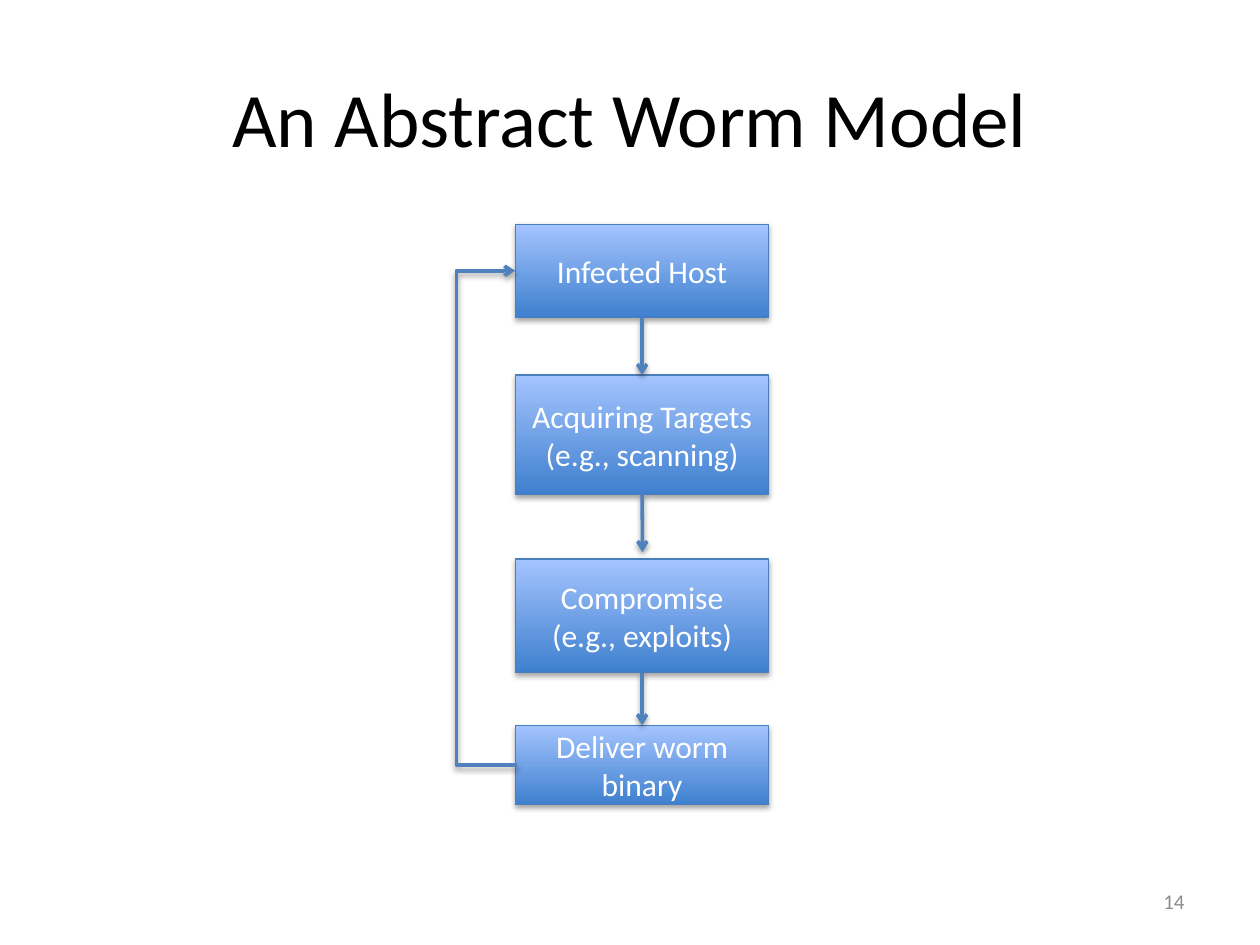
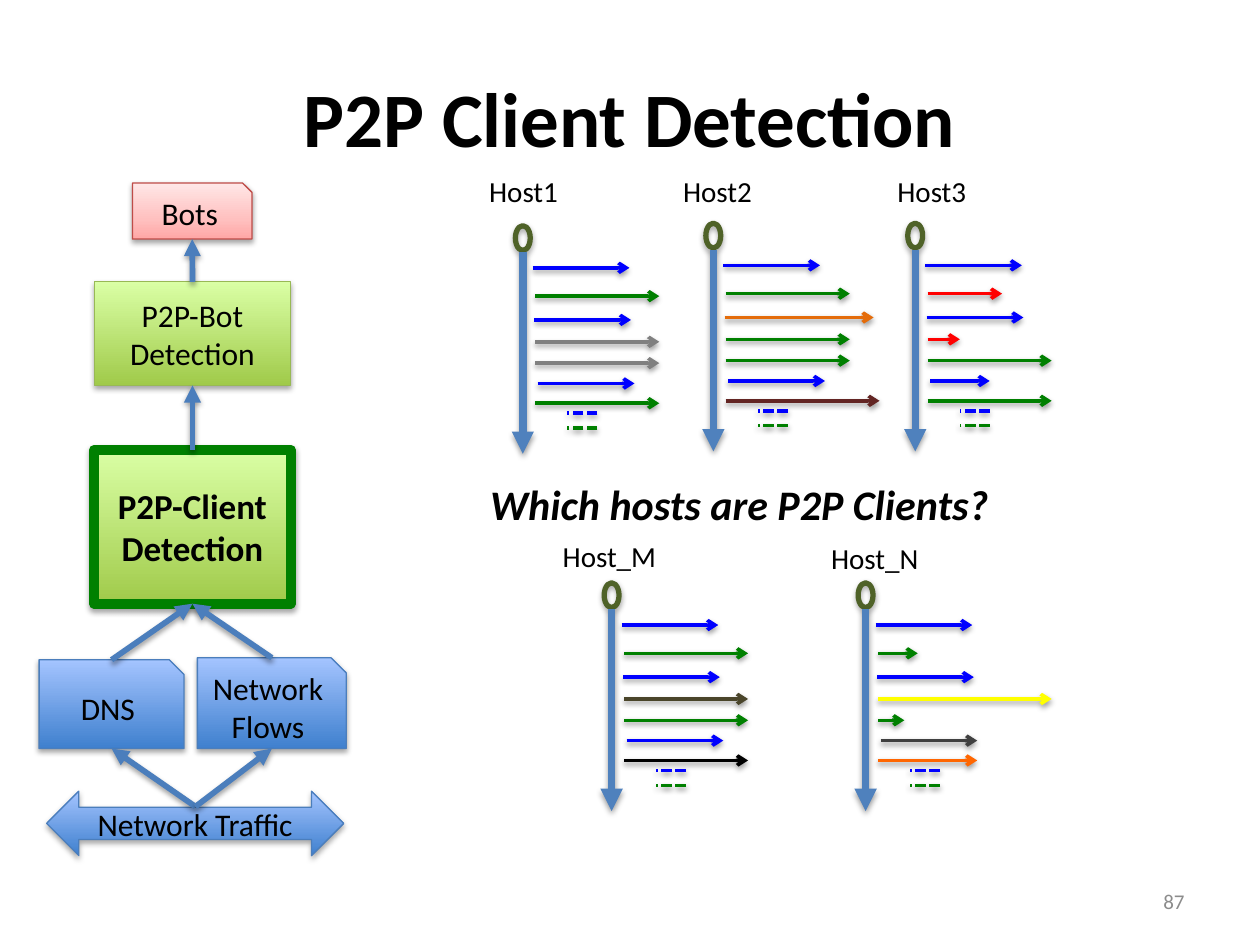
from copy import deepcopy
from itertools import pairwise

from lxml.etree import SubElement
from pptx import Presentation
from pptx.dml.color import RGBColor
from pptx.enum.dml import MSO_LINE
from pptx.enum.shapes import MSO_CONNECTOR as Connector, MSO_SHAPE as Preset
from pptx.enum.text import MSO_ANCHOR as Anchor, PP_ALIGN as Align
from pptx.oxml.ns import qn
from pptx.util import Cm, Pt

FONT = "Calibri"
COLORS = {
    "black": "000000", "white": "FFFFFF", "number": "8C8C8C",
    "blue edge": "4B7EBC", "lime edge": "98B955", "pink edge": "BF4C48",
    "link": "4F81BD", "ring": "4F6228",
    "blue": "0000FF", "green": "008000", "gray": "808080", "red": "FF0000",
    "orange": "E46C0A", "bright orange": "FF6600", "maroon": "632523",
    "brown": "4A452A", "yellow": "FFFF00", "charcoal": "404040",
}
GRADIENTS = {
    "blue": [(0, "3F80CE"), (1, "A4C4FF")],
    "lime": [(0, "A0CA4A"), (1, "DAFFA5")],
    "pink": [(0, "FFA6A5"), (0.35, "FFC0BF"), (1, "FFE7E7")],
}
TOP, LEFT, BOTTOM = 0, 1, 2

FLOW_ROWS = [(0.2, 0.85), (0.25, 1.42), (0.23, 1.9), (0.25, 2.34),
             (0.25, 2.77), (0.3, 3.18), (0.25, 3.58)]
SHORT, LONG = 1.95, 2.5
BLUE, GREEN, GRAY = ("blue", SHORT), ("green", LONG), ("gray", LONG)
HOSTS = [
    ("Host1", 9.12, 3.45, 10.54, 4.55,
     [BLUE, GREEN, BLUE, GRAY, GRAY, BLUE, GREEN]),
    ("Host2", 13.03, 3.45, 14.38, 4.5,
     [BLUE, GREEN, ("orange", 3), GREEN, GREEN, BLUE, ("maroon", 3.1)]),
    ("Host3", 17.35, 3.45, 18.45, 4.5,
     [BLUE, ("red", 1.5), BLUE, ("red", 0.65), GREEN, ("blue", 1.2), GREEN]),
    ("Host_M", 10.85, 10.8, 12.33, 11.75,
     [BLUE, GREEN, BLUE, ("brown", LONG), GREEN, BLUE, ("black", LONG)]),
    ("Host_N", 16.2, 10.85, 17.45, 11.75,
     [BLUE, ("green", 0.8), BLUE, ("yellow", 3.5), ("green", 0.53),
      ("charcoal", SHORT), ("bright orange", 2)]),
]


def rgb(name):
    return RGBColor.from_string(COLORS[name])


def format_text(frame, size, color, align=Align.CENTER, bold=False, italic=False):
    for paragraph in frame.paragraphs:
        paragraph.alignment = align
        font = paragraph.font
        font.name, font.size = FONT, Pt(size)
        font.bold, font.italic = bold, italic
        font.color.rgb = rgb(color)


def add_shadow(shape, opacity):
    effects = SubElement(shape.element.spPr, qn("a:effectLst"))
    shadow = SubElement(effects, qn("a:outerShdw"), blurRad="40000", dist="22000",
                        dir="5400000", rotWithShape="0")
    color = SubElement(shadow, qn("a:srgbClr"), val=COLORS["black"])
    SubElement(color, qn("a:alpha"), val=str(opacity * 1000))


def style_line(shape, color, width):
    shape.line.color.rgb = rgb(color)
    shape.line.width = Pt(width)


def fill_gradient(shape, stops):
    shape.fill.gradient()
    shape.fill.gradient_angle = 90
    stop_list = shape.element.spPr.find(".//" + qn("a:gsLst"))
    while len(stop_list) < len(stops):
        stop_list.append(deepcopy(stop_list[0]))
    for stop, (position, color) in zip(shape.fill.gradient_stops, stops):
        stop.position = position
        stop.color.rgb = RGBColor.from_string(color)


def add_slide(presentation, title, number, bold=False):
    slide = presentation.slides.add_slide(presentation.slide_layouts[5])
    heading = slide.shapes.title
    heading.left, heading.top = Cm(1.27), Cm(0.76)
    heading.width, heading.height = Cm(22.86), Cm(3.18)
    heading.text_frame.text = title
    heading.text_frame.vertical_anchor = Anchor.MIDDLE
    format_text(heading.text_frame, 44, "black", bold=bold)
    frame = add_label(slide, number, 18.21, 17.65, 5.92, 1.02)
    frame.vertical_anchor = Anchor.MIDDLE
    format_text(frame, 12, "number", Align.RIGHT)
    return slide


def add_label(slide, text, left, top, width, height):
    box = slide.shapes.add_textbox(Cm(left), Cm(top), Cm(width), Cm(height))
    frame = box.text_frame
    frame.word_wrap = True
    frame.text = text
    return frame


def add_box(slide, text, left, top, width, height, preset=Preset.RECTANGLE,
            fill="blue", edge="blue edge", edge_width=0.75, color="black",
            size=18, bold=False):
    shape = slide.shapes.add_shape(preset, Cm(left), Cm(top), Cm(width), Cm(height))
    if preset == Preset.ROUNDED_RECTANGLE:
        shape.adjustments[0] = 0
    fill_gradient(shape, GRADIENTS[fill])
    style_line(shape, edge, edge_width)
    add_shadow(shape, 35)
    shape.text_frame.text = text
    format_text(shape.text_frame, size, color, bold=bold)
    return shape


def add_line(slide, start, end, color="link", width=2, head="arrow",
             kind=Connector.STRAIGHT, dash=None):
    line = slide.shapes.add_connector(kind, *map(Cm, (*start, *end)))
    style_line(line, color, width)
    if dash:
        line.line.dash_style = dash
    if head:
        outline = line.element.spPr.find(qn("a:ln"))
        SubElement(outline, qn("a:tailEnd"), type=head)
    add_shadow(line, 38)
    return line


def join(slide, source, source_side, target, target_side, **style):
    line = add_line(slide, (0, 0), (1, 1), **style)
    line.begin_connect(source, source_side)
    line.end_connect(target, target_side)


def add_return_arrow(slide, start, end, turn_left):
    arrow = add_line(slide, start, end, kind=Connector.ELBOW)
    turn = (start[0] - turn_left) / (start[0] - end[0])
    adjustments = arrow.element.spPr.find(qn("a:prstGeom")).get_or_add_avLst()
    SubElement(adjustments, qn("a:gd"), name="adj1", fmla=f"val {round(turn * 100000)}")


def add_host(slide, name, label_left, label_top, axis, top, flows):
    frame = add_label(slide, name, label_left, label_top, 2.87, 0.97)
    frame.paragraphs[0].line_spacing = 0.9
    format_text(frame, 16.6, "black")
    ring = slide.shapes.add_shape(Preset.OVAL, Cm(axis - 0.15), Cm(top), Cm(0.3), Cm(0.5))
    ring.fill.background()
    style_line(ring, "ring", 3)
    add_shadow(ring, 35)
    add_line(slide, (axis, top + 0.53), (axis, top + 4.6), width=4.25, head="triangle")
    for (indent, drop), (color, length) in zip(FLOW_ROWS, flows):
        start = axis + indent
        add_line(slide, (start, top + drop), (start + length, top + drop), color)
    for color, drop in (("blue", 3.78), ("green", 4.08)):
        add_line(slide, (axis + 1.5, top + drop), (axis + 0.9, top + drop), color,
                 head=None, dash=MSO_LINE.SQUARE_DOT)


def build_worm_model(presentation):
    slide = add_slide(presentation, "An Abstract Worm Model", "14")
    steps = [
        ("Infected Host", 4.52, 1.88),
        ("Acquiring Targets (e.g., scanning)", 7.56, 2.41),
        ("Compromise\n(e.g., exploits)", 11.27, 2.29),
        ("Deliver worm binary", 14.62, 1.6),
    ]
    infected, acquire, compromise, deliver = [
        add_box(slide, text, 10.39, top, 5.11, height, color="white")
        for text, top, height in steps]
    join(slide, infected, BOTTOM, acquire, TOP)
    to_compromise = add_line(slide, (12.95, 9.97), (12.95, 11.13))
    to_compromise.begin_connect(acquire, BOTTOM)
    join(slide, compromise, BOTTOM, deliver, TOP)
    add_return_arrow(slide, (10.43, 15.42), (10.39, 5.46), 9.2)


def build_client_detection(presentation):
    slide = add_slide(presentation, "P2P Client Detection", "87", bold=True)
    snipped = Preset.SNIP_1_RECTANGLE
    stage = {"preset": Preset.ROUNDED_RECTANGLE, "fill": "lime"}
    dns = add_box(slide, "DNS", 0.79, 13.3, 2.92, 1.79, snipped)
    flows = add_box(slide, "Network\vFlows", 3.98, 13.26, 3, 1.83, snipped)
    client = add_box(slide, "P2P-Client Detection", 1.9, 9.07, 3.96, 3.1, **stage,
                     edge="green", edge_width=5.75, size=20, bold=True)
    bots = add_box(slide, "Bots", 2.67, 3.69, 2.41, 1.13, snipped,
                   fill="pink", edge="pink edge")
    bot = add_box(slide, "P2P-Bot Detection", 1.9, 5.68, 3.96, 2.09, **stage,
                  edge="lime edge")
    add_box(slide, "Network Traffic", 0.94, 15.95, 5.99, 1.3, Preset.LEFT_RIGHT_ARROW)
    thick = {"color": "blue edge", "width": 3.25, "head": "triangle"}
    for source in (dns, flows):
        join(slide, source, TOP, client, BOTTOM, **thick)
    for source, target in pairwise((client, bot, bots)):
        join(slide, source, TOP, target, BOTTOM, **thick)
    for target in (dns, flows):
        arrow = add_line(slide, (3.94, 16.26), (3.94, 15.09), **thick)
        arrow.end_connect(target, BOTTOM)
    for host in HOSTS:
        add_host(slide, *host)
    question = add_label(slide, "Which hosts are P2P Clients?", 6.5, 9.53, 16.81, 1.9)
    format_text(question, 24, "black", bold=True, italic=True)


def main():
    presentation = Presentation()
    presentation.slide_width, presentation.slide_height = Cm(25.4), Cm(19.05)
    build_worm_model(presentation)
    build_client_detection(presentation)
    presentation.save("out.pptx")


if __name__ == "__main__":
    main()
